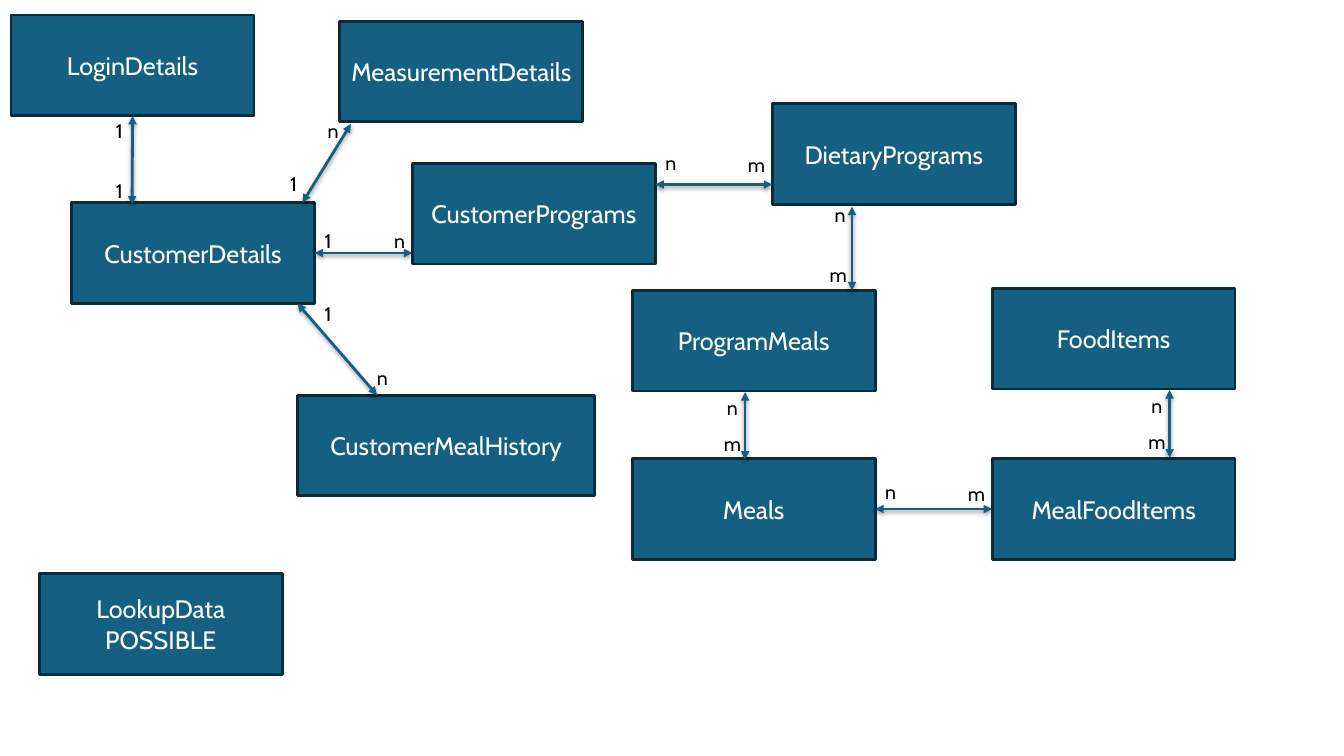
import pptx
import pptx.util
import pptx.dml.color
import pptx.enum.shapes
import pptx.enum.text
import pptx.oxml

COLS, ROWS = 13.33, 7.5
WIDE, HIGH = 2.41, 1
BLUE, NAVY, WHITE, BLACK = "156082", "092A38", "FFFFFF", "000000"
FONT = "Cabin"
BOTTOM, LEFT, RIGHT = 2, 1, 3
NS = 'xmlns:a="http://schemas.openxmlformats.org/drawingml/2006/main"'
SHADE = (f'<a:effectLst {NS}><a:outerShdw blurRad="40000" dist="20000" dir="5400000" '
         'rotWithShape="0"><a:srgbClr val="000000"><a:alpha val="38000"/></a:srgbClr>'
         '</a:outerShdw></a:effectLst>')

CUSTOMER_BOXES = [
    ("CustomerDetails", 0.71, 2.01, WIDE), ("LoginDetails", 0.11, 0.15, WIDE),
    ("MeasurementDetails", 3.37, 0.21, WIDE), ("CustomerPrograms", 4.09, 1.62, WIDE),
    ("CustomerMealHistory", 2.95, 3.92, 2.95), ("LookupData\nPOSSIBLE", 0.39, 5.69, WIDE),
]
CUSTOMER_LINKS = [
    (1.31, 1.15, 1.31, 2.03, ("LoginDetails", BOTTOM), None),
    (3.48, 1.23, 3, 2.01, None, None),
    (4.09, 2.51, 3.12, 2.51, None, ("CustomerDetails", RIGHT)),
    (2.95, 3.01, 3.74, 3.92, None, None),
]
CUSTOMER_MARKS = [
    ("n", 3.15, 1.13), ("1", 2.78, 1.66), ("1", 1.05, 1.73), ("1", 1.05, 1.13),
    ("n", 3.81, 2.22), ("1", 3.12, 2.22), ("1", 3.12, 2.95), ("n", 3.64, 3.58),
]
MEAL_BOXES = [
    ("DietaryPrograms", 1.39, 0, WIDE), ("ProgramMeals", 0, 1.85, WIDE),
    ("Meals", 0, 3.52, WIDE), ("FoodItems", 3.57, 1.83, WIDE),
    ("MealFoodItems", 3.57, 3.52, WIDE),
]
MEAL_LINKS = [
    (1.39, 0.8, 0.23, 0.8, None, None),
    (2.18, 1.85, 2.18, 1.02, None, None),
    (5.33, 3.51, 5.33, 2.84, None, None),
    (1.12, 3.53, 1.12, 2.86, None, None),
    (3.57, 4.02, 2.41, 4.02, ("MealFoodItems", LEFT), ("Meals", RIGHT)),
]
MEAL_MARKS = [
    ("m", 1.05, 0.44), ("n", 0.23, 0.42), ("m", 1.86, 1.53), ("n", 1.91, 0.93),
    ("n", 5.05, 2.83), ("m", 5.02, 3.19), ("n", 0.84, 2.85), ("m", 0.81, 3.21),
    ("m", 3.23, 3.7), ("n", 2.41, 3.68),
]


def color(code):
    """Turn a hex string into a colour."""
    return pptx.dml.color.RGBColor.from_string(code)


def style(frame, size, code, align):
    """Format every paragraph of a text frame."""
    frame.word_wrap = True
    for para in frame.paragraphs:
        para.alignment = align
        para.font.name = FONT
        para.font.size = pptx.util.Pt(size)
        para.font.color.rgb = color(code)


def entity(slide, text, left, top, width, height):
    """Draw a named entity box."""
    box = slide.shapes.add_shape(
        pptx.enum.shapes.MSO_SHAPE.RECTANGLE, left, top, width, height)
    box.shadow.inherit = False
    box.fill.solid()
    box.fill.fore_color.rgb = color(BLUE)
    box.line.color.rgb = color(NAVY)
    box.line.width = pptx.util.Pt(2)
    box.text_frame.text = text
    box.text_frame.vertical_anchor = pptx.enum.text.MSO_ANCHOR.MIDDLE
    style(box.text_frame, 18, WHITE, pptx.enum.text.PP_ALIGN.CENTER)
    return box


def arrow(slide, ends):
    """Draw a shaded line with a head at both ends."""
    line = slide.shapes.add_connector(
        pptx.enum.shapes.MSO_CONNECTOR.STRAIGHT, *ends)
    line.line.color.rgb = color(BLUE)
    line.line.width = pptx.util.Pt(2)
    stroke = line.line._get_or_add_ln()
    for tag in ("headEnd", "tailEnd"):
        stroke.append(pptx.oxml.parse_xml(f'<a:{tag} {NS} type="triangle"/>'))
    line._element.spPr.append(pptx.oxml.parse_xml(SHADE))
    return line


def mark(slide, text, left, top, width, height):
    """Write a cardinality mark."""
    note = slide.shapes.add_textbox(left, top, width, height)
    note.text_frame.text = text
    style(note.text_frame, 14, BLACK, pptx.enum.text.PP_ALIGN.LEFT)


def region(slide, area, boxes, links, marks):
    """Place one group of entities, links and marks inside an area."""
    left, top, col, row = area

    def spot(x, y):
        """Give the slide position of a grid point."""
        return round(left + x * col), round(top + y * row)

    made = {}
    for text, x, y, wide in boxes:
        made[text] = entity(slide, text, *spot(x, y), round(wide * col), round(HIGH * row))
    for x, y, far, low, start, end in links:
        line = arrow(slide, spot(x, y) + spot(far, low))
        if start:
            line.begin_connect(made[start[0]], start[1])
        if end:
            line.end_connect(made[end[0]], end[1])
    for text, x, y in marks:
        mark(slide, text, *spot(x, y), round(0.22 * col), round(0.33 * row))


def main():
    """Build the entity diagram."""
    deck = pptx.Presentation()
    deck.slide_width = pptx.util.Inches(COLS)
    deck.slide_height = pptx.util.Inches(ROWS)
    slide = deck.slides.add_slide(deck.slide_layouts[6])
    col, row = deck.slide_width / COLS, deck.slide_height / ROWS
    region(slide, (0, 0, col, row), CUSTOMER_BOXES, CUSTOMER_LINKS, CUSTOMER_MARKS)
    region(slide, (6.27 * col, 1.03 * row, col, row), MEAL_BOXES, MEAL_LINKS, MEAL_MARKS)
    deck.save("out.pptx")


if __name__ == "__main__":
    main()
